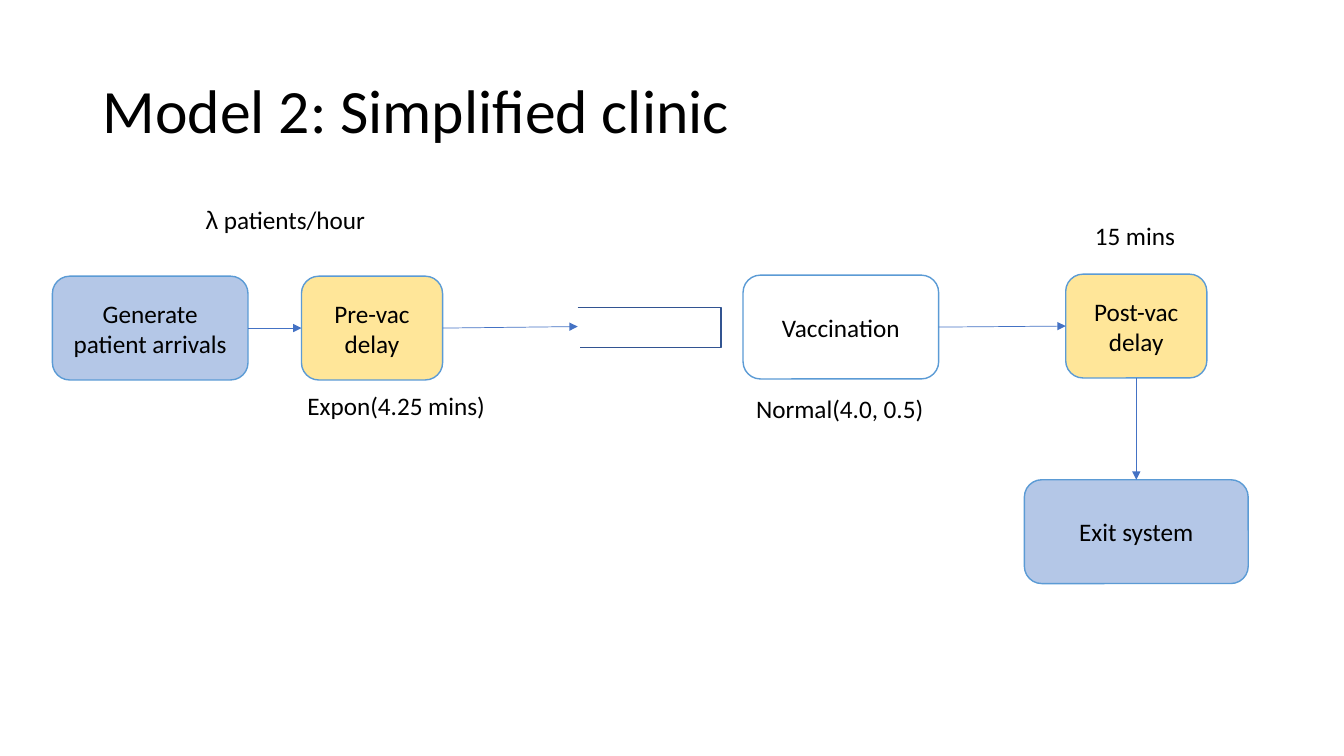
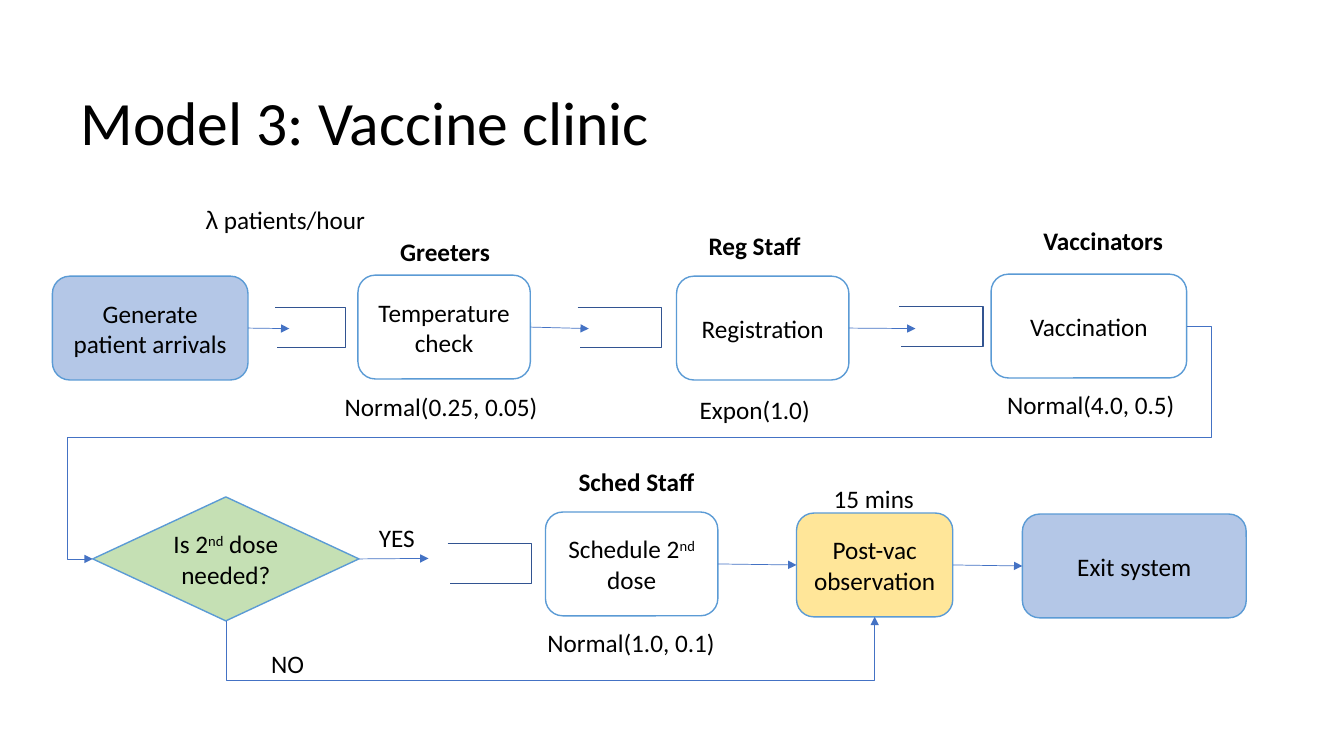
"""Build two flow diagrams of vaccine clinic models."""
from dataclasses import dataclass

from lxml.etree import SubElement
from pptx import Presentation
from pptx.dml.color import RGBColor
from pptx.enum.shapes import MSO_CONNECTOR, MSO_SHAPE
from pptx.enum.text import MSO_ANCHOR, MSO_AUTO_SIZE, PP_ALIGN
from pptx.oxml.ns import qn
from pptx.shapes.connector import Connector
from pptx.slide import Slide
from pptx.text.text import TextFrame
from pptx.util import Inches, Pt

BLUE, GOLD, GREEN, WHITE = "B4C7E7", "FFE699", "C5E0B4", "FFFFFF"
EDGE, ARROW, QUEUE, BLACK = "5B9BD5", "4472C4", "325491", "000000"
FONT = "Calibri"
Point = tuple[float, float]


@dataclass(frozen=True)
class Run:
    text: str
    face: str | None = None
    raised: bool = False


Words = tuple[Run, ...]


@dataclass(frozen=True)
class Node:
    words: str | Words
    x: float
    y: float
    width: float
    fill: str = WHITE
    height: float = 1.03
    form: MSO_SHAPE = MSO_SHAPE.ROUNDED_RECTANGLE

    @property
    def left(self) -> Point:
        return self.x, self.y + self.height / 2

    @property
    def right(self) -> Point:
        return self.x + self.width, self.y + self.height / 2

    @property
    def top(self) -> Point:
        return self.x + self.width / 2, self.y

    @property
    def base(self) -> Point:
        return self.x + self.width / 2, self.y + self.height


@dataclass(frozen=True)
class Label:
    words: str | Words
    x: float
    y: float
    width: float
    bold: bool = False


@dataclass(frozen=True)
class Queue:
    x: float
    y: float
    width: float
    height: float = 0.4
    inset: float = 0.02


SOURCE = Node("Generate patient arrivals", 0.52, 2.74, 1.94, BLUE)
RATE = Label((Run("λ", "Arial"), Run(" patients/hour")), 1.94, 1.98, 1.85)


def color(code: str) -> RGBColor:
    return RGBColor.from_string(code)


def write(frame: TextFrame, words: str | Words, size: int = 18,
          bold: bool = False) -> None:
    para = frame.paragraphs[0]
    font = para.font
    font.name, font.size, font.bold = FONT, Pt(size), bold
    font.color.rgb = color(BLACK)
    for item in (Run(words),) if isinstance(words, str) else words:
        run = para.add_run()
        run.text = item.text
        if item.face:
            run.font.name = item.face
        if item.raised:
            run.font._element.set("baseline", "30000")


def add_title(slide: Slide, text: str, x: float, y: float, height: float) -> None:
    box = slide.shapes.add_textbox(Inches(x), Inches(y), Inches(11.5), Inches(height))
    frame = box.text_frame
    frame.word_wrap = True
    frame.vertical_anchor = MSO_ANCHOR.MIDDLE
    frame.paragraphs[0].line_spacing = 0.9
    write(frame, text, 44)


def add_node(slide: Slide, node: Node) -> None:
    shape = slide.shapes.add_shape(node.form, Inches(node.x), Inches(node.y),
                                   Inches(node.width), Inches(node.height))
    shape.shadow.inherit = False
    shape.fill.solid()
    shape.fill.fore_color.rgb = color(node.fill)
    shape.line.color.rgb = color(EDGE)
    shape.line.width = Pt(1)
    frame = shape.text_frame
    frame.word_wrap = True
    frame.vertical_anchor = MSO_ANCHOR.MIDDLE
    frame.paragraphs[0].alignment = PP_ALIGN.CENTER
    write(frame, node.words)


def add_label(slide: Slide, label: Label) -> None:
    box = slide.shapes.add_textbox(Inches(label.x), Inches(label.y),
                                   Inches(label.width), Inches(0.4))
    frame = box.text_frame
    frame.word_wrap = False
    frame.auto_size = MSO_AUTO_SIZE.SHAPE_TO_FIT_TEXT
    write(frame, label.words, bold=label.bold)


def add_queue(slide: Slide, queue: Queue) -> None:
    end, low = queue.x + queue.width, queue.y + queue.height
    pen = slide.shapes.build_freeform(Inches(queue.x), Inches(queue.y))
    turns = (end, queue.y), (end, low), (queue.x + queue.inset, low)
    pen.add_line_segments([(Inches(x), Inches(y)) for x, y in turns], close=False)
    shape = pen.convert_to_shape()
    shape.shadow.inherit = False
    shape.fill.background()
    shape.line.color.rgb = color(QUEUE)
    shape.line.width = Pt(1)


def add_arrow(slide: Slide, start: Point, end: Point,
              kind: MSO_CONNECTOR = MSO_CONNECTOR.STRAIGHT) -> Connector:
    arrow = slide.shapes.add_connector(kind, *map(Inches, start + end))
    arrow.line.color.rgb = color(ARROW)
    arrow.line.width = Pt(0.5)
    SubElement(arrow.line._get_or_add_ln(), qn("a:tailEnd"), type="triangle")
    SubElement(arrow.element.spPr, qn("a:effectLst"))
    return arrow


def set_bends(arrow: Connector, preset: str, *bends: float) -> None:
    geom = arrow.element.spPr.find(qn("a:prstGeom"))
    geom.set("prst", preset)
    guides = geom.find(qn("a:avLst"))
    for count, bend in enumerate(bends, 1):
        SubElement(guides, qn("a:gd"), name=f"adj{count}",
                   fmla=f"val {round(bend * 100000)}")


def add_return(slide: Slide, start: Point, end: Point, lane: float,
               reach: float = 0.25) -> None:
    side = reach / (start[0] - end[0])
    drop = (lane - start[1]) / (end[1] - start[1])
    arrow = add_arrow(slide, start, end, MSO_CONNECTOR.ELBOW)
    set_bends(arrow, "bentConnector5", -side, drop, 1 + side)


def add_bypass(slide: Slide, start: Point, end: Point, lane: float) -> None:
    span, rise = end[0] - start[0], start[1] - end[1]
    mid_x, mid_y = (start[0] + end[0]) / 2, (start[1] + end[1]) / 2
    arrow = add_arrow(slide, (mid_x - rise / 2, mid_y - span / 2),
                      (mid_x + rise / 2, mid_y + span / 2), MSO_CONNECTOR.ELBOW)
    arrow.element.spPr.find(qn("a:xfrm")).set("rot", str(270 * 60000))
    set_bends(arrow, "bentConnector3", (start[1] - lane) / rise)


def draw(slide: Slide, nodes: list[Node], queues: list[Queue],
         labels: list[Label], links: list[tuple[Point, Point]]) -> None:
    for node in nodes:
        add_node(slide, node)
    for queue in queues:
        add_queue(slide, queue)
    for start, end in links:
        add_arrow(slide, start, end)
    for label in labels:
        add_label(slide, label)


def simple_clinic(slide: Slide) -> None:
    before = Node("Pre-vac delay", 2.99, 2.74, 1.4, GOLD)
    vaccine = Node("Vaccination", 7.37, 2.73, 1.94)
    after = Node("Post-vac delay", 10.57, 2.72, 1.4, GOLD)
    leave = Node("Exit system", 10.16, 4.76, 2.22, BLUE)
    labels = [
        RATE,
        Label("Expon(4.25 mins)", 2.95, 3.82, 1.98),
        Label("Normal(4.0, 0.5)", 7.4, 3.85, 1.88),
        Label("15 mins", 10.76, 2.14, 1.01),
    ]
    links = [
        (SOURCE.right, before.left),
        (before.right, (5.73, 3.24)),
        (vaccine.right, after.left),
        (after.base, leave.top),
    ]
    add_title(slide, "Model 2: Simplified clinic", 0.92, 0.4, 1.45)
    draw(slide, [SOURCE, before, vaccine, after, leave],
         [Queue(5.73, 3.05, 1.42)], labels, links)


def full_clinic(slide: Slide) -> None:
    check = Node("Temperature check", 3.55, 2.73, 1.71)
    desk = Node("Registration", 6.71, 2.74, 1.71)
    vaccine = Node("Vaccination", 9.83, 2.72, 1.94)
    second = Run("nd", raised=True)
    choice = Node((Run("Is 2"), second, Run(" dose needed?")), 0.92, 4.93, 2.64,
                  GREEN, 1.23, MSO_SHAPE.FLOWCHART_DECISION)
    booking = Node((Run("Schedule 2"), second, Run(" dose")), 5.41, 5.08, 1.71)
    watch = Node("Post-vac observation", 7.9, 5.09, 1.55, GOLD)
    leave = Node("Exit system", 10.14, 5.1, 2.22, BLUE)
    queues = [
        Queue(2.73, 3.05, 0.7),
        Queue(5.73, 3.05, 0.83),
        Queue(8.92, 3.04, 0.83),
        Queue(4.44, 5.39, 0.83),
    ]
    labels = [
        RATE,
        Label("Greeters", 3.87, 2.3, 1.1, True),
        Label("Reg Staff", 6.93, 2.24, 1.13, True),
        Label("Vaccinators", 10.25, 2.19, 1.4, True),
        Label("Sched Staff", 5.64, 4.58, 1.37, True),
        Label("Normal(0.25, 0.05)", 3.32, 3.83, 2.14),
        Label("Expon(1.0)", 6.84, 3.86, 1.31),
        Label("Normal(4.0, 0.5)", 9.89, 3.81, 1.88),
        Label("Normal(1.0, 0.1)", 5.33, 6.17, 1.88),
        Label("15 mins", 8.17, 4.75, 1.01),
        Label("YES", 3.66, 5.13, 0.56),
        Label("NO", 2.59, 6.38, 0.53),
    ]
    links = [
        (SOURCE.right, (2.87, 3.26)),
        (check.right, (5.84, 3.26)),
        (desk.right, (9.08, 3.26)),
        (choice.right, (4.25, 5.54)),
        (booking.right, watch.left),
        (watch.right, leave.left),
    ]
    add_title(slide, "Model 3: Vaccine clinic", 0.7, 0.76, 0.97)
    draw(slide, [SOURCE, check, desk, vaccine, choice, booking, watch, leave],
         queues, labels, links)
    add_return(slide, vaccine.right, choice.left, 4.34)
    add_bypass(slide, choice.base, watch.base, 6.75)


def main() -> None:
    deck = Presentation()
    deck.slide_width, deck.slide_height = Inches(13.33), Inches(7.5)
    for build in (simple_clinic, full_clinic):
        build(deck.slides.add_slide(deck.slide_layouts[6]))
    deck.save("out.pptx")


main()
